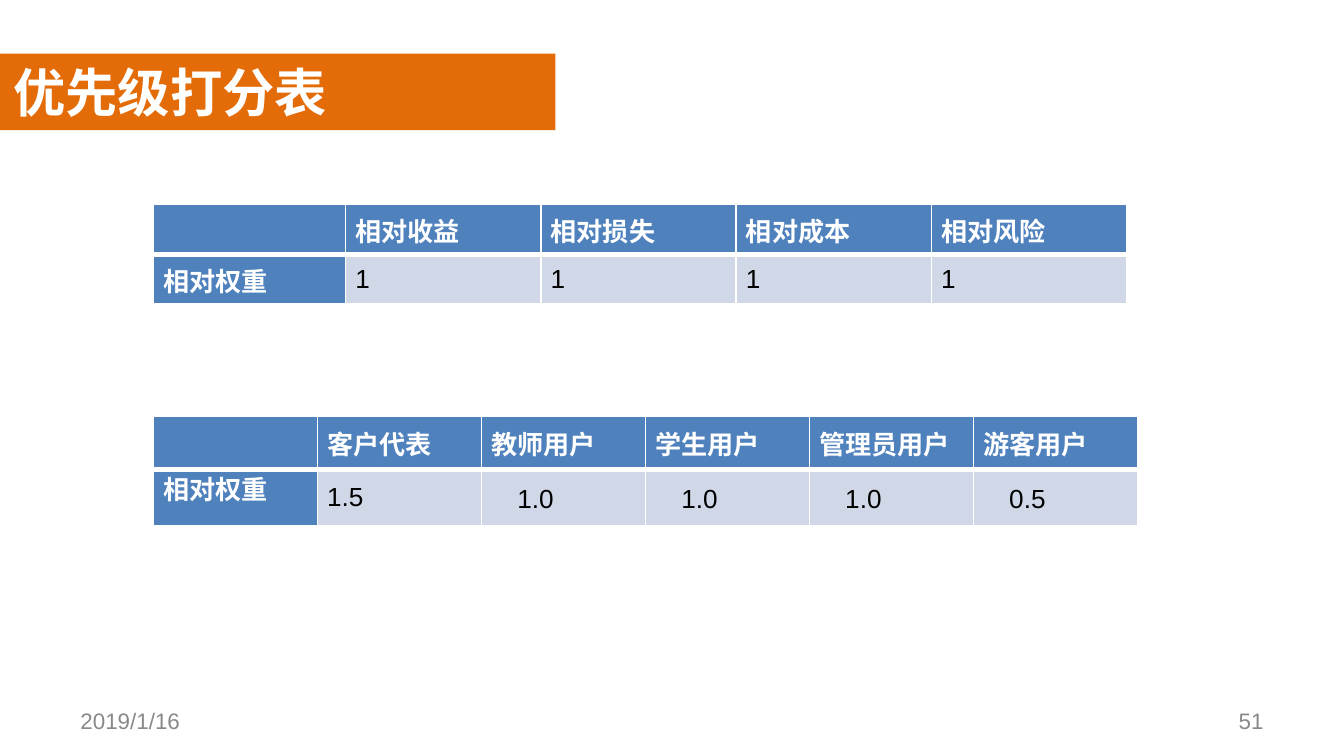
from lxml.etree import SubElement
from pptx import Presentation
from pptx.dml.color import RGBColor
from pptx.enum.shapes import MSO_SHAPE as Shape
from pptx.enum.text import MSO_ANCHOR as Anchor, MSO_AUTO_SIZE as AutoSize, PP_ALIGN as Align
from pptx.oxml.ns import qn
from pptx.util import Pt

WHITE = RGBColor(0xFF, 0xFF, 0xFF)
BLACK = RGBColor(0x00, 0x00, 0x00)
ORANGE = RGBColor(0xE3, 0x6C, 0x09)
BLUE = RGBColor(0x4F, 0x81, 0xBD)
PALE_BLUE = RGBColor(0xD0, 0xD8, 0xE8)
GRAY = RGBColor(0x89, 0x89, 0x89)

BANNER = (0, 28.8, 297.5, 41)
TABLE_LEFT = 82.2


def write(frame, text, size=14, font="Arial", color=BLACK, bold=False, align=Align.LEFT):
    """Put one formatted paragraph into a text frame."""
    para = frame.paragraphs[0]
    para.alignment = align
    span = para.add_run()
    span.text = text
    span.font.size = Pt(size)
    span.font.name = font
    span.font.bold = bold
    span.font.color.rgb = color


def add_panel(page, bounds, color, opacity=100):
    """Add a borderless rectangle."""
    panel = page.shapes.add_shape(Shape.RECTANGLE, *map(Pt, bounds))
    panel.shadow.inherit = False
    panel.line.fill.background()
    panel.fill.solid()
    panel.fill.fore_color.rgb = color
    if opacity < 100:
        tint = panel.fill._xPr.find(qn("a:solidFill"))[0]
        SubElement(tint, qn("a:alpha"), val=str(opacity * 1000))


def set_title(page, text):
    """Place the title over the banner."""
    title = page.shapes.title
    title.left, title.top, title.width, title.height = map(Pt, BANNER)
    frame = title.text_frame
    frame.vertical_anchor = Anchor.TOP
    frame.auto_size = AutoSize.SHAPE_TO_FIT_TEXT
    write(frame, text, size=28, font="Calibri", color=WHITE, bold=True)
    page.shapes._spTree.append(title._element)  # bring in front of the banner


def add_footer(page, left, text, align):
    box = page.shapes.add_textbox(Pt(left), Pt(375.4), Pt(168), Pt(21.6))
    frame = box.text_frame
    frame.word_wrap = True
    frame.vertical_anchor = Anchor.MIDDLE
    write(frame, text, size=12, color=GRAY, align=align)


def set_borders(cell, **widths):
    """Draw white cell borders; keys are L, R, T and B, values are points."""
    props = cell._tc.get_or_add_tcPr()
    for index, (side, width) in enumerate(widths.items()):
        line = SubElement(props, qn(f"a:ln{side}"), w=str(Pt(width)))
        fill = SubElement(line, qn("a:solidFill"))
        SubElement(fill, qn("a:srgbClr"), val=str(WHITE))
        props.insert(index, line)


def add_score_table(page, top, widths, heights, rows, label_anchor=Anchor.MIDDLE):
    """Add a table with a heading row and a heading column."""
    bounds = map(Pt, (TABLE_LEFT, top, sum(widths), sum(heights)))
    table = page.shapes.add_table(len(rows), len(widths), *bounds).table
    table.horz_banding = False
    for column, width in zip(table.columns, widths):
        column.width = Pt(width)
    for r, (row, height) in enumerate(zip(rows, heights)):
        table.rows[r].height = Pt(height)
        for c, text in enumerate(row):
            cell = table.cell(r, c)
            heading = r == 0 or c == 0
            cell.margin_left = cell.margin_right = Pt(5.2)
            cell.margin_top = cell.margin_bottom = Pt(0)
            cell.vertical_anchor = label_anchor if r and c == 0 else Anchor.MIDDLE
            cell.fill.solid()
            cell.fill.fore_color.rgb = BLUE if heading else PALE_BLUE
            # The line between the two rows is the thick one
            set_borders(cell, L=1, R=1, T=3 if r else 1, B=1 if r else 3)
            if text:
                write(cell.text_frame, text, color=WHITE if heading else BLACK,
                      bold=heading, align=Align.JUSTIFY)


def main():
    deck = Presentation()
    deck.slide_width, deck.slide_height = Pt(720), Pt(405)
    page = deck.slides.add_slide(deck.slide_layouts[5])

    # Background panel and title banner
    add_panel(page, (0, 49.7, 720, 323.3), WHITE, opacity=50)
    add_panel(page, BANNER, ORANGE)
    set_title(page, "优先级打分表")

    # Date and slide number
    add_footer(page, 36, "2019/1/16", Align.LEFT)
    add_footer(page, 516, "51", Align.RIGHT)

    # Weights of the criteria
    add_score_table(page, 109.6, [103] + [104.6] * 4, [27, 26.4], [
        ["", "相对收益", "相对损失", "相对成本", "相对风险"],
        ["相对权重"] + ["1"] * 4,
    ])

    # Weights of the user groups
    add_score_table(page, 223.2, [87.85] * 6, [28.2, 30.3], [
        ["", "客户代表", "教师用户", "学生用户", "管理员用户", "游客用户"],
        ["相对权重", "1.5", "　1.0", "　1.0", "　1.0", "　0.5"],
    ], label_anchor=Anchor.TOP)

    deck.save("out.pptx")


if __name__ == "__main__":
    main()
